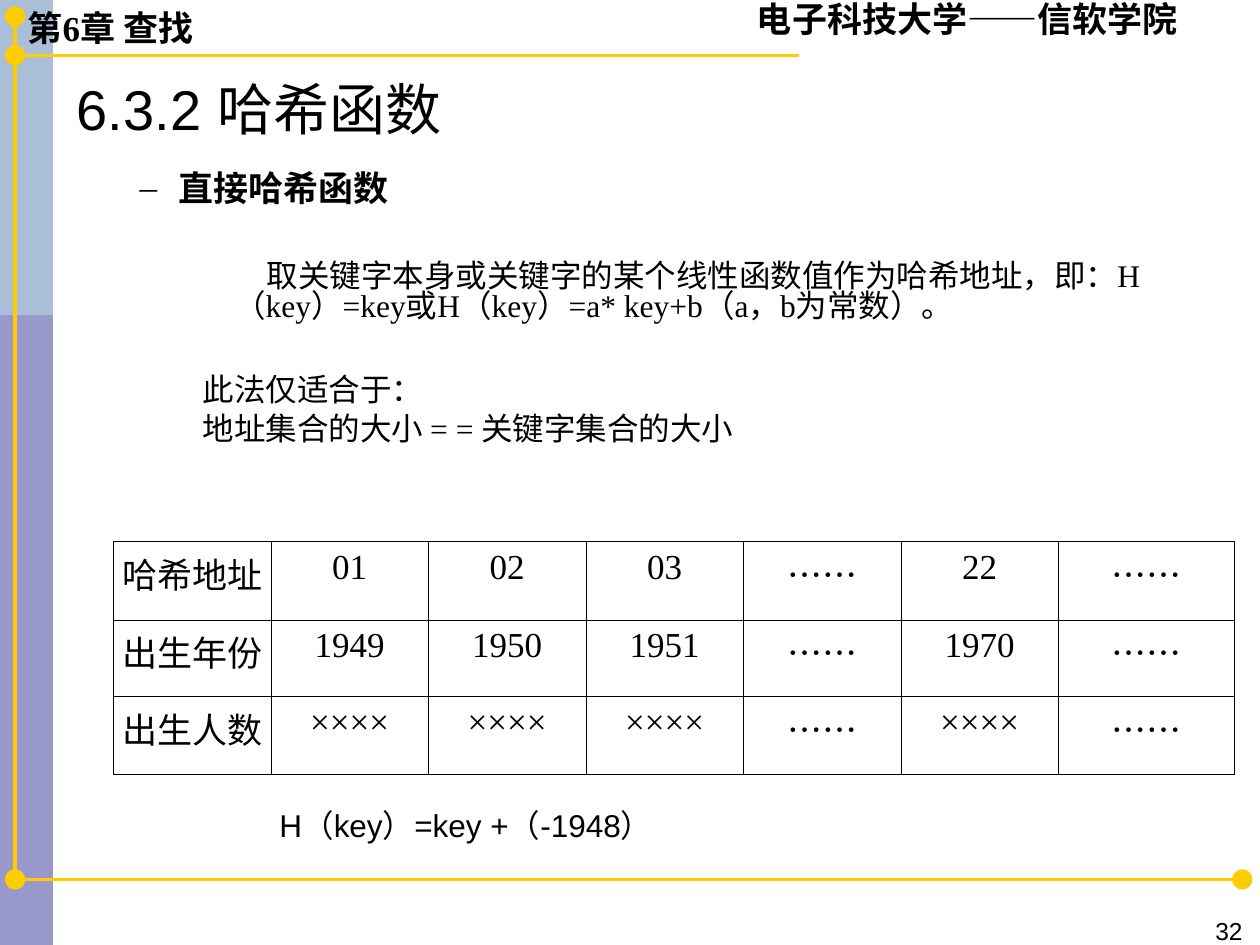
from lxml.etree import SubElement
from pptx import Presentation
from pptx.dml.color import RGBColor
from pptx.enum.shapes import MSO_CONNECTOR, MSO_SHAPE
from pptx.enum.text import MSO_ANCHOR, PP_ALIGN
from pptx.oxml.ns import qn
from pptx.util import Inches, Pt

COLORS = {"text": "000000", "gold": "FFCC00", "violet": "333399", "aqua": "BBE0E3"}
SERIF, SANS, CJK = "Times New Roman", "Arial", "Noto Sans CJK SC"


def write(paragraph, text, font, size, bold=False, **layout):
    run = paragraph.add_run()
    run.text = text
    for key, value in {"name": font, "size": Pt(size), "bold": bold}.items():
        setattr(run.font, key, value)
    run.font.color.rgb = RGBColor.from_string(COLORS["text"])
    for key, value in layout.items():
        setattr(paragraph, key, value)


def add_panel(kind, left, top, width, height, color, opacity=100):
    panel = slide.shapes.add_shape(kind, Inches(left), Inches(top), Inches(width), Inches(height))
    panel.shadow.inherit = False
    panel.line.fill.background()
    panel.fill.solid()
    panel.fill.fore_color.rgb = RGBColor.from_string(COLORS[color])
    if opacity < 100:
        tint = panel.fill._xPr.find(qn("a:solidFill"))[0]
        SubElement(tint, qn("a:alpha"), val=str(opacity * 1000))


prs = Presentation()
prs.slide_width, prs.slide_height = Inches(10), Inches(7.5)
slide = prs.slides.add_slide(prs.slide_layouts[5])

# Side bands
add_panel(MSO_SHAPE.RECTANGLE, 0, 0, 0.42, 7.5, "violet", 50)
add_panel(MSO_SHAPE.RECTANGLE, 0, 0, 0.42, 2.5, "aqua", 53)

# Gold rules with dots at their ends
rules = [(0.2, 6.98, 9.88, 6.98), (0.12, 0.44, 6.34, 0.44), (0.12, 6.98, 0.12, 0.13)]
for rule_ends in rules:
    rule = slide.shapes.add_connector(MSO_CONNECTOR.STRAIGHT, *map(Inches, rule_ends))
    rule.line.color.rgb = RGBColor.from_string(COLORS["gold"])
    rule.line.width = Pt(2)
    SubElement(rule._element.spPr, qn("a:effectLst"))
for x, y in [(0.12, 6.98), (9.86, 6.98), (0.12, 0.44), (0.12, 0.13)]:
    add_panel(MSO_SHAPE.OVAL, x - 0.08, y - 0.08, 0.16, 0.16, "gold")

# Title
title = slide.shapes.title
title_format = {"left": 0.51, "top": 0.6, "width": 8.82, "height": 0.7}
for key, value in title_format.items():
    setattr(title, key, Inches(value))
title.text_frame.vertical_anchor = MSO_ANCHOR.TOP
write(title.text_frame.paragraphs[0], "6.3.2 哈希函数", SANS, 32,
      alignment=PP_ALIGN.LEFT, line_spacing=0.9)

# Headers, page number and formula
labels = [
    ("第6章 查找", (0.12, 0, 1.89, 0.44), SERIF, 20, True, PP_ALIGN.LEFT),
    ("电子科技大学——信软学院", (5.91, -0.07, 4.13, 0.44), SERIF, 20, True, PP_ALIGN.LEFT),
    ("32", (7.32, 7.22, 2.64, 0.22), SANS, 14, False, PP_ALIGN.RIGHT),
    ("H（key）=key +（-1948）", (2.12, 6.35, 3.63, 0.4), SANS, 18, False, PP_ALIGN.LEFT),
]
for text, place, font, size, bold, alignment in labels:
    label = slide.shapes.add_textbox(*map(Inches, place)).text_frame
    label.word_wrap = True
    write(label.paragraphs[0], text, font, size, bold, alignment=alignment)

# Explanation: text, size, bold, left margin, first-line indent, space before
explanation = [
    ("直接哈希函数", 20, True, 0.81, -0.31, 0),
    ("取关键字本身或关键字的某个线性函数值作为哈希地址，即：H（key）=key或"
     "H（key）=a* key+b（a，b为常数）。", 18, False, 1.25, 0.26, 31),
    ("此法仅适合于：", 18, False, 1.25, -0.25, 31),
    ("地址集合的大小 = = 关键字集合的大小", 18, False, 1.25, -0.25, 4.5),
]
body = slide.shapes.add_textbox(Inches(0.51), Inches(1.34), Inches(8.82), Inches(2.8)).text_frame
body.word_wrap = True
for i, (text, size, bold, margin, indent, before) in enumerate(explanation):
    paragraph = body.add_paragraph() if i else body.paragraphs[0]
    write(paragraph, text, SERIF, size, bold, line_spacing=0.8, space_before=Pt(before))
    properties = paragraph._p.get_or_add_pPr()
    properties.set("marL", str(Inches(margin)))
    properties.set("indent", str(Inches(indent)))
    if i == 0:
        SubElement(properties, qn("a:buFont"), typeface=SERIF)
        SubElement(properties, qn("a:buChar"), char="–")

# Table of hash addresses
rows = [
    ["哈希地址", "01", "02", "03", "……", "22", "……"],
    ["出生年份", "1949", "1950", "1951", "……", "1970", "……"],
    ["出生人数", "××××", "××××", "××××", "……", "××××", "……"],
]
addresses = slide.shapes.add_table(3, 7, Inches(0.9), Inches(4.3), Inches(8.9), Inches(1.85)).table
addresses.first_row = addresses.horz_banding = False
for c, column in enumerate(addresses.columns):
    column.width = Inches(1.4 if c == 6 else 1.25)
for r, values in enumerate(rows):
    addresses.rows[r].height = Inches(0.61 if r == 1 else 0.62)
    for c, value in enumerate(values):
        cell = addresses.cell(r, c)
        cell.margin_left = cell.margin_right = Inches(0.02)
        write(cell.text_frame.paragraphs[0], value, CJK if value == "……" else SERIF, 20,
              alignment=PP_ALIGN.CENTER)
        cell_properties = cell._tc.get_or_add_tcPr()
        for side in ("lnL", "lnR", "lnT", "lnB"):
            border = SubElement(cell_properties, qn(f"a:{side}"), w=str(Pt(0.45)))
            SubElement(SubElement(border, qn("a:solidFill")), qn("a:srgbClr"), val=COLORS["text"])
        cell.fill.background()

prs.save("out.pptx")
